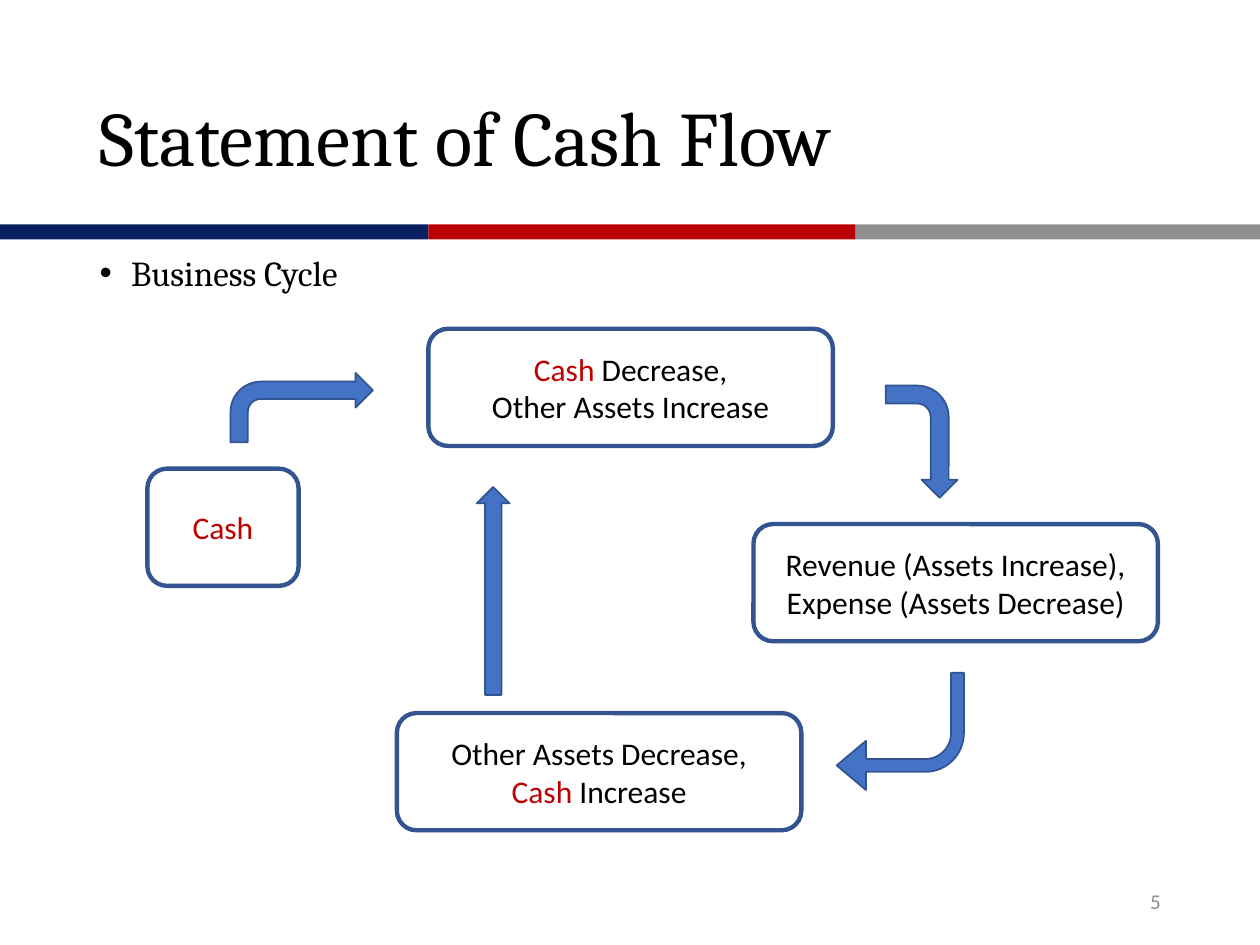
from lxml.etree import SubElement
from pptx import Presentation
from pptx.dml.color import RGBColor
from pptx.enum.shapes import MSO_SHAPE
from pptx.enum.text import MSO_ANCHOR, PP_ALIGN
from pptx.oxml.ns import qn
from pptx.util import Inches, Pt

NAVY = RGBColor(0x0A, 0x1F, 0x62)
CRIMSON = RGBColor(0xB9, 0x00, 0x05)
SILVER = RGBColor(0x8F, 0x8F, 0x8F)
PAGE_GRAY = RGBColor(0x8C, 0x8C, 0x8C)
BLACK = RGBColor(0x00, 0x00, 0x00)
CASH_RED = RGBColor(0xC0, 0x00, 0x00)
ARROW_BLUE = RGBColor(0x44, 0x72, 0xC4)
OUTLINE_BLUE = RGBColor(0x32, 0x54, 0x91)

SLIDE_WIDTH, SLIDE_HEIGHT = Inches(10), Inches(7.5)
COLUMNS, ROWS = 100, 75
CARD_WIDTH, CARD_HEIGHT = 32.1, 9.3


def grid(left, top, width, height):
    """Turn columns and rows of the slide grid into slide lengths."""
    column, row = SLIDE_WIDTH / COLUMNS, SLIDE_HEIGHT / ROWS
    return round(left * column), round(top * row), round(width * column), round(height * row)


def apply_format(target, values):
    """Set every attribute named in the format values."""
    for name, value in values.items():
        setattr(target, name, value)


def place(item, box):
    """Move a placeholder to a grid box."""
    apply_format(item, dict(zip(("left", "top", "width", "height"), grid(*box))))


def write(paragraph, text, color, size, face):
    """Add one formatted run to a paragraph."""
    run = paragraph.add_run()
    run.text = text
    apply_format(run.font, {"size": Pt(size), "name": face})
    run.font.color.rgb = color


def add_solid(slide, kind, box, fill=None, outline=None):
    """Add a preset shape without shadow, with optional fill and (color, width) outline."""
    solid = slide.shapes.add_shape(kind, *grid(*box))
    solid.shadow.inherit = False
    if fill is None:
        solid.fill.background()
    else:
        solid.fill.solid()
        solid.fill.fore_color.rgb = fill
    if outline is None:
        solid.line.fill.background()
    else:
        solid.line.color.rgb, solid.line.width = outline[0], Pt(outline[1])
    return solid


def add_color_band(slide, box):
    """Fill the box with the three-colored divider."""
    left, top, width, height = box
    stops = (0, 0.34, 0.679, 1)
    for start, end, color in zip(stops, stops[1:], (NAVY, CRIMSON, SILVER)):
        segment = (left + start * width, top, (end - start) * width, height)
        add_solid(slide, MSO_SHAPE.RECTANGLE, segment, color)


def add_heading(slide, box):
    """Write the slide title into its placeholder."""
    title = slide.shapes.title
    place(title, box)
    title.text_frame.vertical_anchor = MSO_ANCHOR.MIDDLE
    heading = title.text_frame.paragraphs[0]
    apply_format(heading, {"alignment": PP_ALIGN.LEFT, "line_spacing": 0.9})
    write(heading, "Statement of Cash Flow", BLACK, 44, "Cambria")


def add_topic(slide, box):
    """Write the bulleted topic into the body placeholder."""
    body = slide.placeholders[1]
    place(body, box)
    topic = body.text_frame.paragraphs[0]
    properties = topic._p.get_or_add_pPr()
    properties.set("marL", str(Inches(0.25)))
    properties.set("indent", str(-Inches(0.25)))
    SubElement(properties, qn("a:buFont")).set("typeface", "Arial")
    SubElement(properties, qn("a:buChar")).set("char", "•")
    apply_format(topic, {"line_spacing": Pt(20), "space_before": Pt(0), "space_after": Pt(3)})
    write(topic, "Business Cycle", BLACK, 20, "Cambria")


def add_stage(slide, box, lines):
    """Add a rounded card whose leading word Cash is red."""
    card = add_solid(slide, MSO_SHAPE.ROUNDED_RECTANGLE, box, outline=(OUTLINE_BLUE, 2.5))
    frame = card.text_frame
    apply_format(frame, {"word_wrap": True, "vertical_anchor": MSO_ANCHOR.MIDDLE})
    for index, line in enumerate(lines):
        paragraph = frame.add_paragraph() if index else frame.paragraphs[0]
        paragraph.alignment = PP_ALIGN.CENTER
        if line.startswith("Cash"):
            write(paragraph, "Cash", CASH_RED, 18, "Calibri")
            line = line.removeprefix("Cash")
        if line:
            write(paragraph, line, BLACK, 18, "Calibri")


def add_cycle(slide, box):
    """Draw the cash cycle: four stages and the arrows between them."""
    left, top = box[:2]
    stages = (
        (0, 11.1, 12, ("Cash",)),
        (48.1, 15.5, CARD_WIDTH, ("Revenue (Assets Increase),", "Expense (Assets Decrease)")),
        (22.3, 0, CARD_WIDTH, ("Cash Decrease,", "Other Assets Increase")),
        (19.8, 30.5, CARD_WIDTH, ("Other Assets Decrease,", "Cash Increase")),
    )
    for x, y, width, lines in stages:
        add_stage(slide, (left + x, top + y, width, CARD_HEIGHT), lines)

    arrows = (
        (MSO_SHAPE.BENT_ARROW, (6.6, 3.5, 11.3, 5.5), 0, ()),
        (MSO_SHAPE.BENT_ARROW, (57, 6.1, 8.9, 5.7), 90, ()),
        (MSO_SHAPE.BENT_ARROW, (54.7, 27.3, 10.1, 9.3), 180, (0.11, 0.21, 0.25, 0.33)),
        (MSO_SHAPE.RIGHT_ARROW, (19.2, 19.5, 16.5, 2.6), 270, ()),
    )
    for kind, (x, y, width, height), rotation, adjustments in arrows:
        arrow = add_solid(slide, kind, (left + x, top + y, width, height),
                          ARROW_BLUE, (OUTLINE_BLUE, 1))
        arrow.rotation = rotation
        for index, value in enumerate(adjustments):
            arrow.adjustments[index] = value


def add_page_number(slide, box):
    """Write the page number at the right of the box."""
    frame = slide.shapes.add_textbox(*grid(*box)).text_frame
    apply_format(frame, {"word_wrap": True, "vertical_anchor": MSO_ANCHOR.MIDDLE})
    number = frame.paragraphs[0]
    number.alignment = PP_ALIGN.RIGHT
    write(number, "5", PAGE_GRAY, 12, "Calibri")


def main():
    """Build and save the cash flow slide."""
    deck = Presentation()
    apply_format(deck, {"slide_width": SLIDE_WIDTH, "slide_height": SLIDE_HEIGHT})
    slide = deck.slides.add_slide(deck.slide_layouts[1])
    add_color_band(slide, (0, 17.8, COLUMNS, 1.2))
    add_heading(slide, (6.9, 4, 89.8, 14.5))
    add_topic(slide, (6.9, 20, 88.3, 47.6))
    add_page_number(slide, (70.6, 69.5, 22.5, 4))
    add_cycle(slide, (11.7, 26.1, 80.2, 39.8))
    deck.save("out.pptx")


if __name__ == "__main__":
    main()
